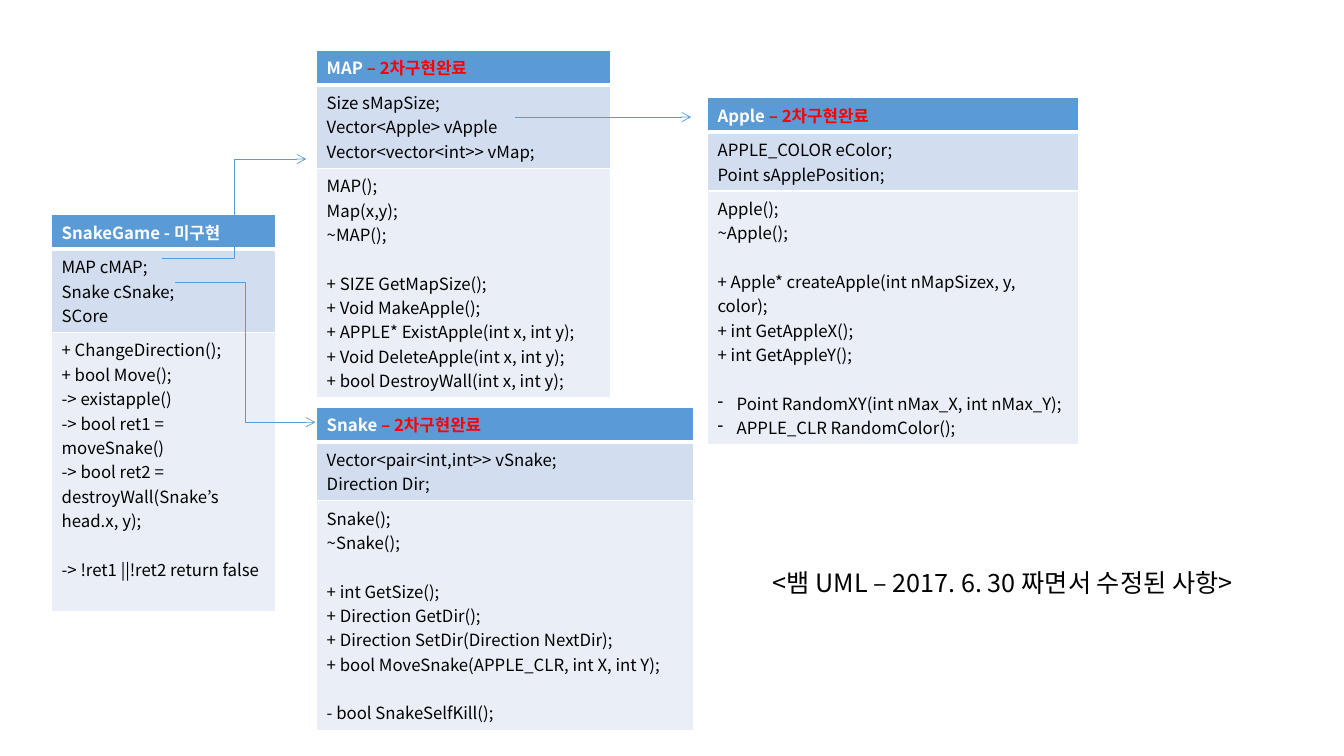
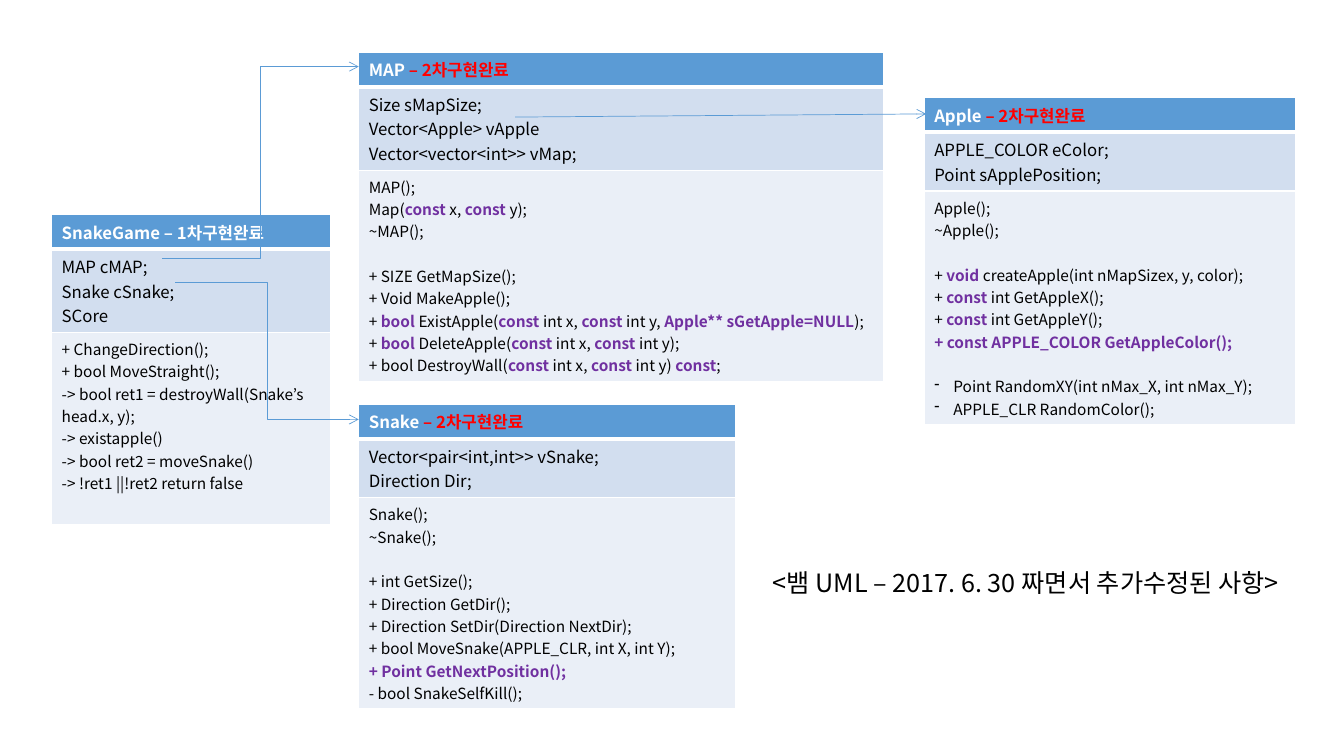
from lxml import etree
from pptx import Presentation
from pptx import util as u
from pptx.dml.color import RGBColor
from pptx.enum import shapes
from pptx.oxml import ns

FONT = "Noto Sans CJK KR"
COLORS = {
    "header": "5B9BD5", "fields": "D2DEEF", "methods": "EAEFF7",
    "white": "FFFFFF", "black": "000000", "done": "FF0000", "changed": "7030A0",
}
LINE_SPACING = 1.45   # height of a line, relative to its font size
HEADER_HEIGHT, FIELD_LINE, CELL_PADDING = 0.87, 0.61, 0.25   # cm

# What both diagrams share
FIELDS = {
    "Snake": ["Vector<pair<int,int>> vSnake;", "Direction Dir;"],
    "Apple": ["APPLE_COLOR eColor;", "Point sApplePosition;"],
    "MAP": ["Size sMapSize;", "Vector<Apple> vApple", "Vector<vector<int>> vMap;"],
    "SnakeGame": ["MAP cMAP;", "Snake cSnake;", "SCore"],
}
SECOND_DONE = ("– 2차구현완료", "done")
MAP_FIELD, SNAKE_FIELD, APPLE_FIELD = (4.09, 6.5), (4.42, 7.11), (12.98, 2.95)
RANDOM_METHODS = ["", "•Point RandomXY(int nMax_X, int nMax_Y);", "•APPLE_CLR RandomColor();"]
SNAKE_METHODS = [
    "Snake();", "~Snake();", "", "+ int GetSize();", "+ Direction GetDir();",
    "+ Direction SetDir(Direction NextDir);",
    "+ bool MoveSnake(APPLE_CLR, int X, int Y);",
]

# Each class: name, status, (left, top, width, height), methods.
# An empty entry opens a gap, • marks a dash bullet, backticks mark changed code.
DIAGRAMS = [
    {
        "method_size": 12,
        "classes": [
            ("Snake", SECOND_DONE, (7.98, 10.26, 9.5, 8.13),
             SNAKE_METHODS + ["", "- bool SnakeSelfKill();"]),
            ("Apple", SECOND_DONE, (17.83, 2.46, 9.35, 8.73), [
                "Apple();", "~Apple();", "",
                "+ Apple* createApple(int nMapSizex, y, color);",
                "+ int GetAppleX();", "+ int GetAppleY();"] + RANDOM_METHODS),
            ("MAP", SECOND_DONE, (7.98, 1.27, 7.42, 8.73), [
                "MAP();", "Map(x,y);", "~MAP();", "",
                "+ SIZE GetMapSize();", "+ Void MakeApple();",
                "+ APPLE* ExistApple(int x, int y);",
                "+ Void DeleteApple(int x, int y);",
                "+ bool DestroyWall(int x, int y);"]),
            ("SnakeGame", ("- 미구현", "white"), (1.3, 5.41, 5.64, 9.98), [
                "+ ChangeDirection();", "+ bool Move();", "-> existapple()",
                "-> bool ret1 = moveSnake()",
                "-> bool ret2 = destroyWall(Snake’s head.x, y);", "",
                "-> !ret1 ||!ret2 return false"]),
        ],
        "arrows": [
            ("ELBOW", MAP_FIELD, (7.72, 4.01)),
            ("ELBOW", SNAKE_FIELD, (7.95, 10.64)),
            ("STRAIGHT", APPLE_FIELD, (17.42, 2.95)),
        ],
        "caption": ("<뱀 UML – 2017. 6. 30 짜면서 수정된 사항>", 13.4),
    },
    {
        "method_size": 11,
        "classes": [
            ("Snake", SECOND_DONE, (9.04, 10.19, 9.5, 7.64),
             SNAKE_METHODS + ["`+ Point GetNextPosition();`", "- bool SnakeSelfKill();"]),
            ("Apple", SECOND_DONE, (23.29, 2.46, 9.35, 8.2), [
                "Apple();", "~Apple();", "",
                "+ `void `createApple(int nMapSizex, y, color);",
                "+ `const `int GetAppleX();", "+ `const `int GetAppleY();",
                "`+ const APPLE_COLOR GetAppleColor();`"] + RANDOM_METHODS),
            ("MAP", SECOND_DONE, (9.04, 1.32, 13.23, 8.28), [
                "MAP();", "Map(`const` x, `const` y);", "~MAP();", "",
                "+ SIZE GetMapSize();", "+ Void MakeApple();",
                "+ `bool `ExistApple(`const `int x, `const `int y, `Apple** sGetApple=NULL`);",
                "+ `bool `DeleteApple(`const `int x, `const `int y);",
                "+ bool DestroyWall(`const `int x, `const `int y) `const`;"]),
            ("SnakeGame", ("– 1차구현완료", "white"), (1.3, 5.41, 7.04, 7.8), [
                "+ ChangeDirection();", "+ bool MoveStraight();",
                "-> bool ret1 = destroyWall(Snake’s head.x, y);",
                "-> existapple()", "-> bool ret2 = moveSnake()",
                "-> !ret1 ||!ret2 return false"]),
        ],
        "arrows": [
            ("ELBOW", MAP_FIELD, (9.04, 1.68)),
            ("ELBOW", SNAKE_FIELD, (9.04, 10.57)),
            ("STRAIGHT", APPLE_FIELD, (23.34, 2.87)),
        ],
        "caption": ("<뱀 UML – 2017. 6. 30 짜면서 추가수정된 사항>", 14.7),
    },
]


def rgb(color):
    return RGBColor.from_string(COLORS[color])


def cm(*lengths):
    return [u.Cm(length) for length in lengths]


def add_run(paragraph, words, size, color="black", bold=False):
    run = paragraph.add_run()
    run.text = words
    for attribute, value in {"size": u.Pt(size), "name": FONT, "bold": bold}.items():
        setattr(run.font, attribute, value)
    run.font.color.rgb = rgb(color)
    etree.SubElement(run.font._element, ns.qn("a:ea"), typeface=FONT)


def add_dash(paragraph):
    properties = paragraph._p.get_or_add_pPr()
    indent = u.Cm(0.48)
    properties.set("marL", str(indent))
    properties.set("indent", str(-indent))
    etree.SubElement(properties, ns.qn("a:buFontTx"))
    etree.SubElement(properties, ns.qn("a:buChar"), char="-")


def write_code(cell, lines, size):
    """Write code lines, turning empty entries into space before the next line."""
    paragraph, gap = cell.text_frame.paragraphs[0], False
    for line in lines:
        if not line:
            gap = True
            continue
        if paragraph.runs:
            paragraph = cell.text_frame.add_paragraph()
        if gap:
            paragraph.space_before = u.Pt(size * LINE_SPACING)
            gap = False
        if line.startswith("•"):
            add_dash(paragraph)
        for index, words in enumerate(line.lstrip("•").split("`")):
            changed = index % 2 == 1
            if words:
                add_run(paragraph, words, size, "changed" if changed else "black", changed)


def style_cell(cell, color, top, bottom):
    # Borders come before the fill in the cell properties
    properties = cell._tc.get_or_add_tcPr()
    for side, width in {"L": 1, "R": 1, "T": top, "B": bottom}.items():
        border = etree.SubElement(properties, ns.qn(f"a:ln{side}"), w=str(u.Pt(width)))
        fill = etree.SubElement(border, ns.qn("a:solidFill"))
        etree.SubElement(fill, ns.qn("a:srgbClr"), val=COLORS["white"])
    cell.fill.solid()
    cell.fill.fore_color.rgb = rgb(color)


def add_class(slide, name, status, box, methods, method_size):
    table = slide.shapes.add_table(3, 1, *cm(*box)).table
    table.horz_banding = False
    fields = FIELDS[name]
    field_height = CELL_PADDING + FIELD_LINE * len(fields)
    heights = (HEADER_HEIGHT, field_height, box[3] - HEADER_HEIGHT - field_height)
    for row, height in zip(table.rows, heights):
        row.height = u.Cm(height)

    header, field_cell, method_cell = (table.cell(row, 0) for row in range(3))
    style_cell(header, "header", 1, 3)
    style_cell(field_cell, "fields", 3, 1)
    style_cell(method_cell, "methods", 1, 1)

    title = header.text_frame.paragraphs[0]
    add_run(title, name + " ", 12, "white", True)
    add_run(title, *(status[0], 12, status[1]), bold=True)
    write_code(field_cell, fields, 12)
    write_code(method_cell, methods, method_size)


def add_arrow(slide, kind, start, end):
    arrow = slide.shapes.add_connector(shapes.MSO_CONNECTOR[kind], *cm(*start, *end))
    arrow.line.width = u.Pt(0.5)
    arrow.line.color.rgb = rgb("header")
    etree.SubElement(arrow.line._get_or_add_ln(), ns.qn("a:tailEnd"), type="arrow")
    etree.SubElement(arrow._element.spPr, ns.qn("a:effectLst"))


def add_caption(slide, words, width):
    caption = slide.shapes.add_textbox(*cm(19.23, 14.17, width, 1.02)).text_frame
    caption.word_wrap = False
    add_run(caption.paragraphs[0], words, 18)


def main():
    deck = Presentation()
    deck.slide_width, deck.slide_height = cm(33.87, 19.05)
    for diagram in DIAGRAMS:
        slide = deck.slides.add_slide(deck.slide_layouts[6])
        for uml_class in diagram["classes"]:
            add_class(slide, *uml_class, diagram["method_size"])
        for arrow in diagram["arrows"]:
            add_arrow(slide, *arrow)
        add_caption(slide, *diagram["caption"])
    deck.save("out.pptx")


if __name__ == "__main__":
    main()
